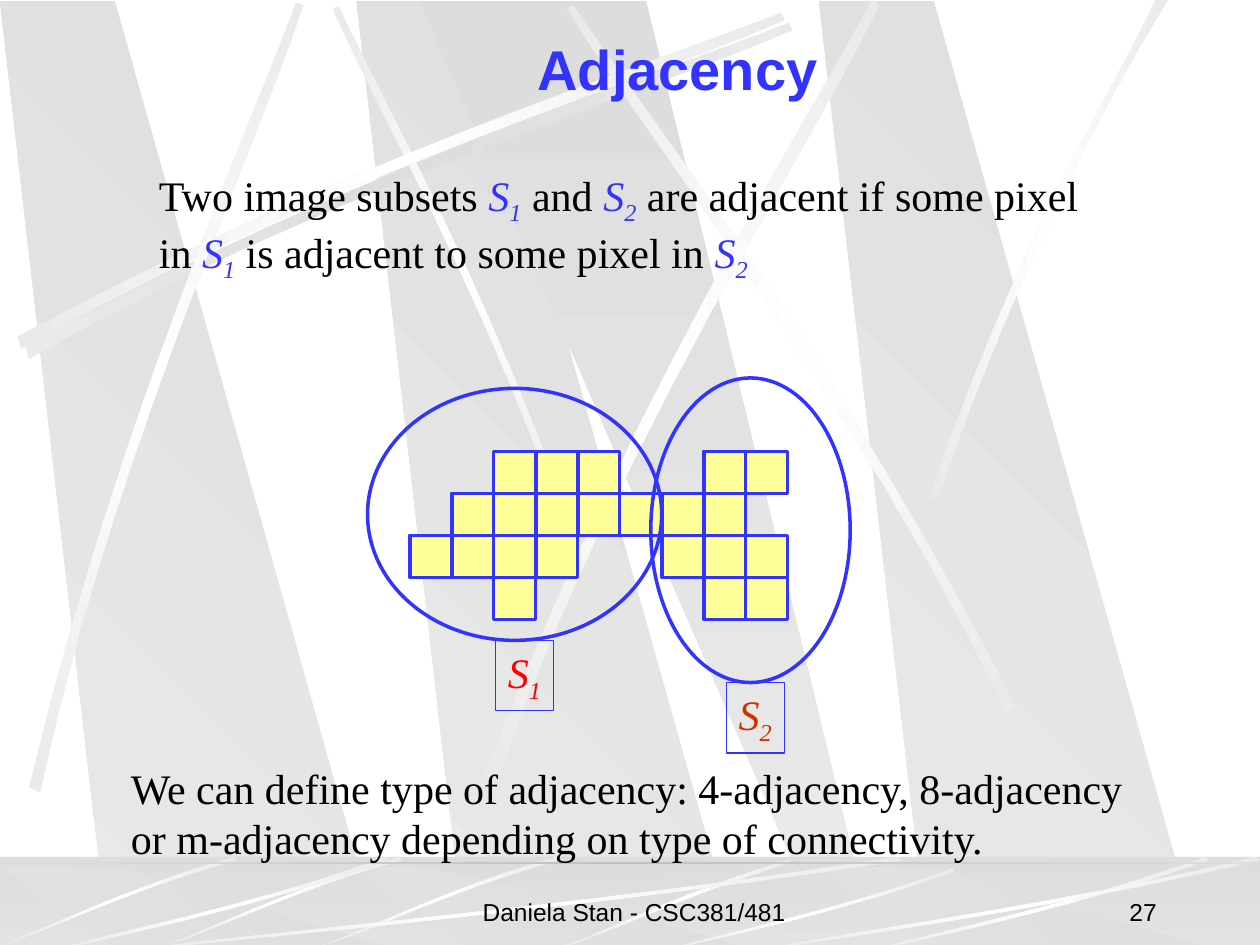
from lxml import etree
from pptx import Presentation
from pptx.dml.color import RGBColor
from pptx.enum.shapes import MSO_SHAPE
from pptx.enum.text import MSO_ANCHOR, MSO_AUTO_SIZE, PP_ALIGN
from pptx.oxml.ns import qn
from pptx.util import Cm, Pt

RECT, OVAL = MSO_SHAPE.RECTANGLE, MSO_SHAPE.OVAL
TOP, BOTTOM = MSO_ANCHOR.TOP, MSO_ANCHOR.BOTTOM
LEFT, CENTER, RIGHT = PP_ALIGN.LEFT, PP_ALIGN.CENTER, PP_ALIGN.RIGHT
NO_AUTOFIT = MSO_AUTO_SIZE.NONE

COLORS = {
    "ink": "000000", "blue": "3333FF", "red": "FF0000", "rust": "CC3300",
    "pixel": "FFFF99", "white": "FFFFFF", "pale": "EAEAEA", "grey": "DDDDDD",
    "edge": "C0C0C0",
}
SANS, SERIF = "Arial", "Times New Roman"
INCH = 2.54  # backdrop outlines are laid out in inches
SLIDE_W, SLIDE_H = 25.4, 19.05
FLOOR = 17.27
CELL = INCH / 3

GLEAM = ("pale", "white", "pale")
SHADE = ("pale", "grey", "pale")

# Each streak has two long edges, and each edge is a cubic curve.
CROSSBAR = [[(0.14, 2.67), (2.78, 1.25), (5.18, 0.51), (6.2, 0.1)],
            [(6.23, 0.16), (5.22, 0.61), (2.48, 1.43), (0.17, 2.77)]]
STREAKS = [
    (45, [[(4.6, 4.36), (3.91, 2.34), (3.02, 0.77), (2.69, 0.05)],
          [(2.64, 0.07), (2.95, 0.79), (3.98, 2.58), (4.54, 4.39)]]),
    (0, CROSSBAR),
    (311.7, [[(0.23, 6.25), (0.93, 3.34), (1.97, 1.05), (2.35, 0.02)],
             [(2.41, 0.04), (2.07, 1.08), (0.86, 3.68), (0.32, 6.29)]]),
    (321.6, [[(3.85, 6.14), (4.98, 3.2), (6.38, 1.02), (6.92, 0)],
             [(6.98, 0.04), (6.49, 1.08), (4.86, 3.55), (3.94, 6.21)]]),
    (34.8, [[(8.06, 5.6), (6.7, 2.93), (5.16, 0.95), (4.55, 0.04)],
            [(4.5, 0.07), (5.07, 1.01), (6.85, 3.25), (7.99, 5.66)]]),
    (0, [[(7.38, 3.93), (8.14, 1.73), (8.88, 0.66), (9.17, 0)],
         [(9.27, 0), (8.36, 1.45), (7.69, 3.22), (7.44, 3.97)]]),
]
FLOOR_ARC = [[(6.27, 6.82), (5.37, 7.09), (4.77, 7.42), (4.48, 7.5)],
             [(4.53, 7.5), (4.9, 7.37), (5.71, 7), (6.28, 6.85)]]
FLOOR_TICK = [[(1.86, 6.8), (0.99, 7.05), (0.31, 7.4), (0, 7.5)],
              [(0.01, 7.5), (0.32, 7.42), (1.09, 7.03), (1.88, 6.83)]]
SWEEP = [[(1, 0.04), (0.57, 0.57), (0.17, 0.85), (0, 1)],
         [(0, 0.99), (0.16, 0.81), (0.61, 0.51), (0.99, 0)]]
SWEEP_BOXES = [(1, 6.8, 6.17, 0.75), (0.42, 6.8, 2.67, 0.75), (5.27, 6.89, 2.31, 0.66),
               (6.92, 6.8, 2.67, 0.75), (6, 6.8, 4, 0.75)]

PIXEL_ROWS = ["..###..##",
              ".#######.",
              "####..###",
              "..#....##"]


def placed(edges, left, top, width=1, height=1):
    return [[(left + x * width, top + y * height) for x, y in edge] for edge in edges]


def curve_points(edge, steps=12):
    """Sample a cubic Bezier curve."""
    points = []
    for step in range(steps + 1):
        t = step / steps
        weights = ((1 - t) ** 3, 3 * t * (1 - t) ** 2, 3 * t * t * (1 - t), t ** 3)
        points.append(tuple(sum(w * p[axis] for w, p in zip(weights, edge)) for axis in (0, 1)))
    return points


class SlideBuilder:
    def __init__(self, slide):
        self.slide = slide
        self.shapes = slide.shapes

    def color(self, name):
        return RGBColor.from_string(COLORS[name])

    def start_group(self):
        self.shapes = self.slide.shapes.add_group_shape().shapes

    def gradient(self, shape, stops, angle):
        """Fill with evenly spaced colour stops; the angle runs clockwise."""
        shape.fill.gradient()
        shape.fill.gradient_angle = -angle % 360
        stop_list = shape.fill._xPr.find(".//" + qn("a:gsLst"))
        stop_list.clear()
        for index, name in enumerate(stops):
            position = str(100000 * index // (len(stops) - 1))
            stop = etree.SubElement(stop_list, qn("a:gs"), pos=position)
            etree.SubElement(stop, qn("a:srgbClr"), val=COLORS[name])

    def outline(self, points, stops, angle):
        corners = [(Cm(x * INCH), Cm(y * INCH)) for x, y in points]
        builder = self.shapes.build_freeform(*corners[0])
        builder.add_line_segments(corners[1:], close=True)
        shape = builder.convert_to_shape()
        shape.shadow.inherit = False
        shape.line.fill.background()
        self.gradient(shape, stops, angle)

    def streak(self, edges, angle=0, stops=GLEAM):
        self.outline(curve_points(edges[0]) + curve_points(edges[1]), stops, angle)

    def figure(self, kind, box, fill=None, line=None):
        shape = self.shapes.add_shape(kind, *map(Cm, box))
        shape.shadow.inherit = False
        if fill:
            shape.fill.solid()
            shape.fill.fore_color.rgb = self.color(fill)
        else:
            shape.fill.background()
        if line:
            shape.line.color.rgb = self.color(line)
            shape.line.width = Pt(2)
        else:
            shape.line.fill.background()
        return shape

    def text(self, box, lines, holder=None, font=SERIF, size=24, color="ink",
             bold=False, align=LEFT, anchor=TOP, symbol="blue"):
        """Write lines in a placeholder or a new box; *S1* marks a subscripted symbol."""
        holder = holder or self.shapes.add_textbox(0, 0, 0, 0)
        holder.left, holder.top, holder.width, holder.height = map(Cm, box)
        frame = holder.text_frame
        frame.auto_size = NO_AUTOFIT
        frame.word_wrap = False
        frame.vertical_anchor = anchor
        for index, line in enumerate(lines):
            paragraph = frame.add_paragraph() if index else frame.paragraphs[0]
            paragraph.alignment = align
            paragraph.space_before = Pt(0)
            if holder.is_placeholder:
                properties = paragraph._p.get_or_add_pPr()
                properties.set("marL", "0")
                properties.set("indent", "0")
                etree.SubElement(properties, qn("a:buNone"))
            style = paragraph.font
            style.name, style.size, style.bold = font, Pt(size), bold
            style.color.rgb = self.color(color)
            for part, piece in enumerate(line.split("*")):
                if part % 2:
                    self.symbol(paragraph, piece, symbol)
                elif piece:
                    paragraph.add_run().text = piece
        return holder

    def symbol(self, paragraph, name, color):
        for piece, baseline in ((name[0], "0"), (name[1:], "-25000")):
            run = paragraph.add_run()
            run.text = piece
            run.font.italic = True
            run.font.color.rgb = self.color(color)
            run._r.get_or_add_rPr().set("baseline", baseline)

    def beams(self, top):
        for left in (2.83, 0, 6.5):
            self.outline([(left + 0.86, 7.5), (left + 3.02, 7.5), (left + 0.91, top), (left, top)],
                         ("pale", "grey"), 315)
        self.outline([(3.33, top), (6.58, 7.5), (6.94, 7.5), (5.13, top)], ("grey", "pale"), 90)

    def backdrop(self):
        self.start_group()
        self.beams(0.01)
        self.streak(placed(CROSSBAR, 0.06, 0.08), stops=SHADE)
        for angle, edges in STREAKS:
            self.streak(edges, angle)
        floor_box = (0, FLOOR, SLIDE_W, SLIDE_H - FLOOR)
        self.gradient(self.figure(RECT, floor_box, "grey"), ("grey", "pale"), 90)
        self.beams(6.88)
        veil = self.figure(RECT, floor_box, "grey")
        tint = veil.fill._xPr.find(".//" + qn("a:srgbClr"))
        etree.SubElement(tint, qn("a:alpha"), val="50000")
        self.streak(FLOOR_ARC)
        for left in (2.56, 1.31, 0):
            self.streak(placed(FLOOR_TICK, left, 0), 315)
        for box in SWEEP_BOXES:
            self.streak(placed(SWEEP, *box))
        ledge = self.figure(RECT, (0, 17.37, SLIDE_W, 0.05), "grey")
        self.gradient(ledge, ("grey", "edge", "grey"), 0)
        group = self.slide.shapes[-1].element
        group.getparent().insert(2, group)  # behind the placeholders

    def pixel_sets(self):
        self.start_group()
        for row, cells in enumerate(PIXEL_ROWS):
            for column, mark in enumerate(cells):
                if mark == "#":
                    box = (8.26 + column * CELL, 9.1 + row * CELL, CELL, CELL)
                    self.figure(RECT, box, "pixel", "blue")
        self.figure(OVAL, (7.41, 7.83, 5.93, 5.08), line="blue")
        self.figure(OVAL, (13.12, 7.62, 4.02, 6.14), line="blue")
        for left, top, name, color in ((9.99, 12.91, "*S1*", "red"), (14.64, 13.76, "*S2*", "rust")):
            label = self.text((left, top, 1.17, 1.42), [name], symbol=color)
            label.line.color.rgb = self.color("blue")
            label.line.width = Pt(0.75)
        self.shapes = self.slide.shapes


def main():
    deck = Presentation()
    deck.slide_width, deck.slide_height = Cm(SLIDE_W), Cm(SLIDE_H)
    slide = deck.slides.add_slide(deck.slide_layouts[1])
    page = SlideBuilder(slide)
    page.backdrop()
    page.text((10.58, 0.56, 7.5, 1.63), ["Adjacency"], slide.shapes.title,
              font=SANS, size=32, color="blue", bold=True)
    page.text((2.95, 3.28, 19.8, 2.57),
              ["Two image subsets *S1* and *S2* are adjacent if some pixel",
               "in *S1* is adjacent to some pixel in *S2*"], slide.placeholders[1])
    page.pixel_sets()
    page.text((2.39, 15.24, 20.62, 2.29),
              ["We can define type of adjacency: 4-adjacency, 8-adjacency",
               "or m-adjacency depending on type of connectivity."])
    page.text((8.76, 17.53, 8.05, 1.27), ["Daniela Stan - CSC381/481"],
              font=SANS, size=14, align=CENTER, anchor=BOTTOM)
    page.text((18.29, 17.53, 5.28, 1.27), ["27"],
              font=SANS, size=14, align=RIGHT, anchor=BOTTOM)
    deck.save("out.pptx")


if __name__ == "__main__":
    main()
